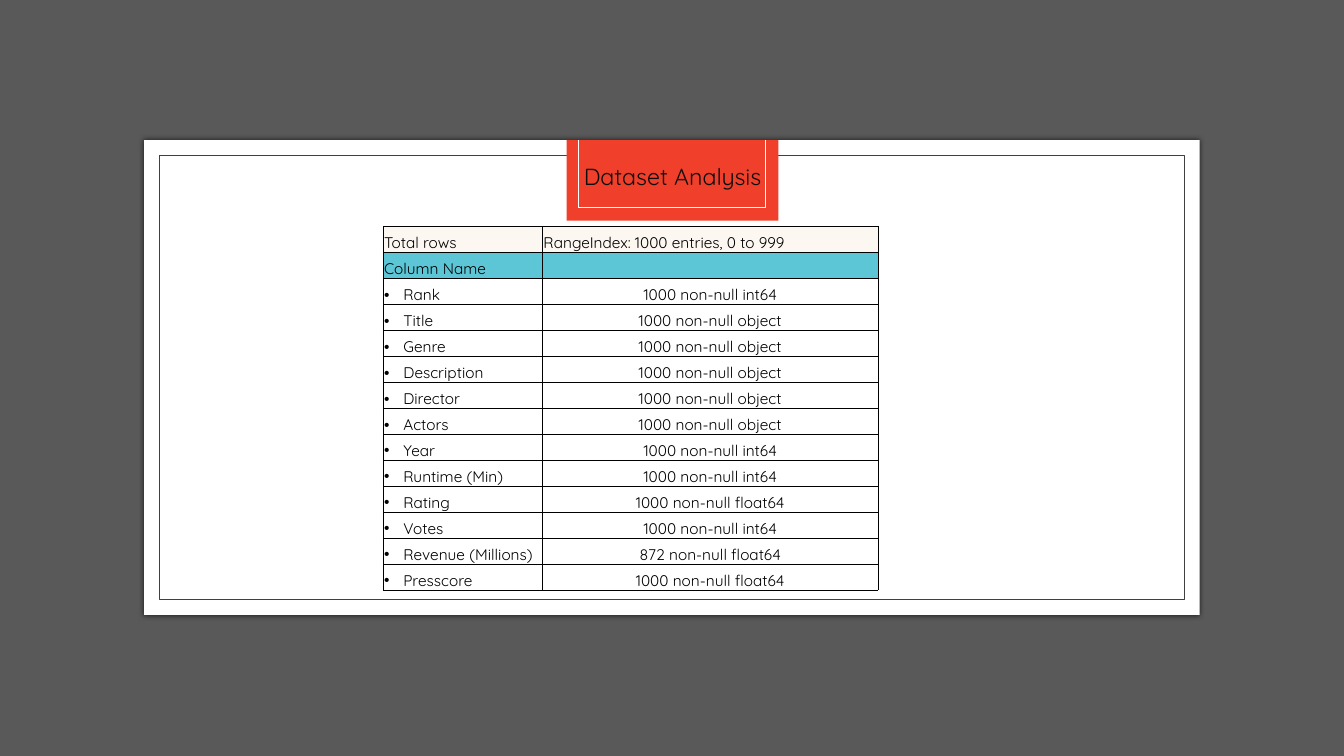
from dataclasses import dataclass

from lxml.etree import SubElement
from pptx import Presentation
from pptx.dml.color import RGBColor
from pptx.enum.shapes import MSO_CONNECTOR, MSO_SHAPE
from pptx.enum.text import MSO_ANCHOR, PP_ALIGN
from pptx.oxml import parse_xml
from pptx.oxml.ns import nsdecls, qn
from pptx.util import Inches, Pt


@dataclass(frozen=True)
class Theme:
    font: str = "Quicksand"
    title_size: float = 16.6
    table_size: float = 11
    hairline: float = 0.5
    backdrop: str = "595959"
    panel: str = "FFFFFF"
    frame: str = "404040"
    badge: str = "F03F2B"
    title: str = "0D0D0D"
    ink: str = "000000"
    total_row: str = "FCF7F1"
    header_row: str = "5CC6D6"


theme = Theme()


def add_box(left, top, width, height, fill=None, line=None):
    box = slide.shapes.add_shape(
        MSO_SHAPE.RECTANGLE, Inches(left), Inches(top), Inches(width), Inches(height))
    box.shadow.inherit = False
    if fill:
        box.fill.solid()
        box.fill.fore_color.rgb = RGBColor.from_string(fill)
    else:
        box.fill.background()
    if line:
        box.line.color.rgb = RGBColor.from_string(line)
        box.line.width = Pt(theme.hairline)
    else:
        box.line.fill.background()
    return box


def style_text(paragraph, size, color, align):
    paragraph.alignment = align
    paragraph.font.name = theme.font
    paragraph.font.size = Pt(size)
    paragraph.font.color.rgb = RGBColor.from_string(color)


prs = Presentation()
prs.slide_width, prs.slide_height = Inches(13.33), Inches(7.5)
slide = prs.slides.add_slide(prs.slide_layouts[6])

add_box(0, 0, 13.33, 7.5, fill=theme.backdrop)
panel = add_box(1.43, 1.39, 10.47, 4.71, fill=theme.panel)
glow = parse_xml(
    f'<a:outerShdw {nsdecls("a")} blurRad="{Pt(4)}" dist="0" dir="0">'
    f'<a:srgbClr val="{theme.ink}"><a:alpha val="66000"/></a:srgbClr></a:outerShdw>')
panel._element.spPr.find(qn("a:effectLst")).append(glow)
add_box(1.58, 1.54, 10.17, 4.41, line=theme.frame)
add_box(5.62, 1.39, 2.1, 0.8, fill=theme.badge)

left, right, top, bottom = 5.74, 7.59, 1.39, 2.06
for x1, y1, x2, y2 in [(left, top, left, bottom), (right, top, right, bottom),
                       (left, bottom, right, bottom)]:
    edge = slide.shapes.add_connector(
        MSO_CONNECTOR.STRAIGHT, Inches(x1), Inches(y1), Inches(x2), Inches(y2))
    edge.line.color.rgb = RGBColor.from_string(theme.panel)
    edge.line.width = Pt(theme.hairline)
    SubElement(edge._element.spPr, qn("a:effectLst"))

title = slide.shapes.add_textbox(
    Inches(5.5), Inches(1.53), Inches(2.34), Inches(0.4)).text_frame
title.word_wrap = True
title.vertical_anchor = MSO_ANCHOR.MIDDLE
heading = title.paragraphs[0]
heading.text = "Dataset Analysis"
heading.line_spacing = 1.1
heading.space_before = Pt(9)
style_text(heading, theme.title_size, theme.title, PP_ALIGN.CENTER)

summary = [
    ("Total rows", "RangeIndex: 1000 entries, 0 to 999"),
    ("Column Name", ""),
]
columns = [
    ("Rank", "1000 non-null int64"),
    ("Title", "1000 non-null object"),
    ("Genre", "1000 non-null object"),
    ("Description", "1000 non-null object"),
    ("Director", "1000 non-null object"),
    ("Actors", "1000 non-null object"),
    ("Year", "1000 non-null int64"),
    ("Runtime (Min)", "1000 non-null int64"),
    ("Rating", "1000 non-null float64"),
    ("Votes", "1000 non-null int64"),
    ("Revenue (Millions)", "872 non-null float64"),
    ("Presscore", "1000 non-null float64"),
]
rows = summary + columns
row_fills = [theme.total_row, theme.header_row]

table = slide.shapes.add_table(
    len(rows), 2, Inches(3.8), Inches(2.25), Inches(4.91), Inches(3.61)).table
table.first_row = False
table.horz_banding = False
for column, width in zip(table.columns, (1.58, 3.33)):
    column.width = Inches(width)

for r, row in enumerate(rows):
    is_column = r >= len(summary)
    for c, text in enumerate(row):
        cell = table.cell(r, c)
        cell.margin_left = cell.margin_right = cell.margin_top = Inches(0.01)
        cell.margin_bottom = 0
        cell.vertical_anchor = MSO_ANCHOR.BOTTOM
        entry = cell.text_frame.paragraphs[0]
        entry.text = text
        align = PP_ALIGN.CENTER if is_column and c == 1 else PP_ALIGN.LEFT
        style_text(entry, theme.table_size, theme.ink, align)
        if not text:
            SubElement(entry._p, qn("a:endParaRPr"), sz=str(int(theme.table_size * 100)))
        if is_column and c == 0:
            props = entry._p.pPr
            props.set("marL", str(Inches(0.19)))
            props.set("indent", str(-Inches(0.19)))
            props.insert(0, parse_xml(f'<a:buChar {nsdecls("a")} char="•"/>'))
            props.insert(0, parse_xml(f'<a:buFont {nsdecls("a")} typeface="Arial"/>'))
        for side in ("lnL", "lnR", "lnT", "lnB"):
            cell._tc.get_or_add_tcPr().append(parse_xml(
                f'<a:{side} {nsdecls("a")} w="{Pt(theme.hairline)}"><a:solidFill>'
                f'<a:srgbClr val="{theme.ink}"/></a:solidFill></a:{side}>'))
        if is_column:
            cell.fill.background()
        else:
            cell.fill.solid()
            cell.fill.fore_color.rgb = RGBColor.from_string(row_fills[r])

prs.save("out.pptx")
